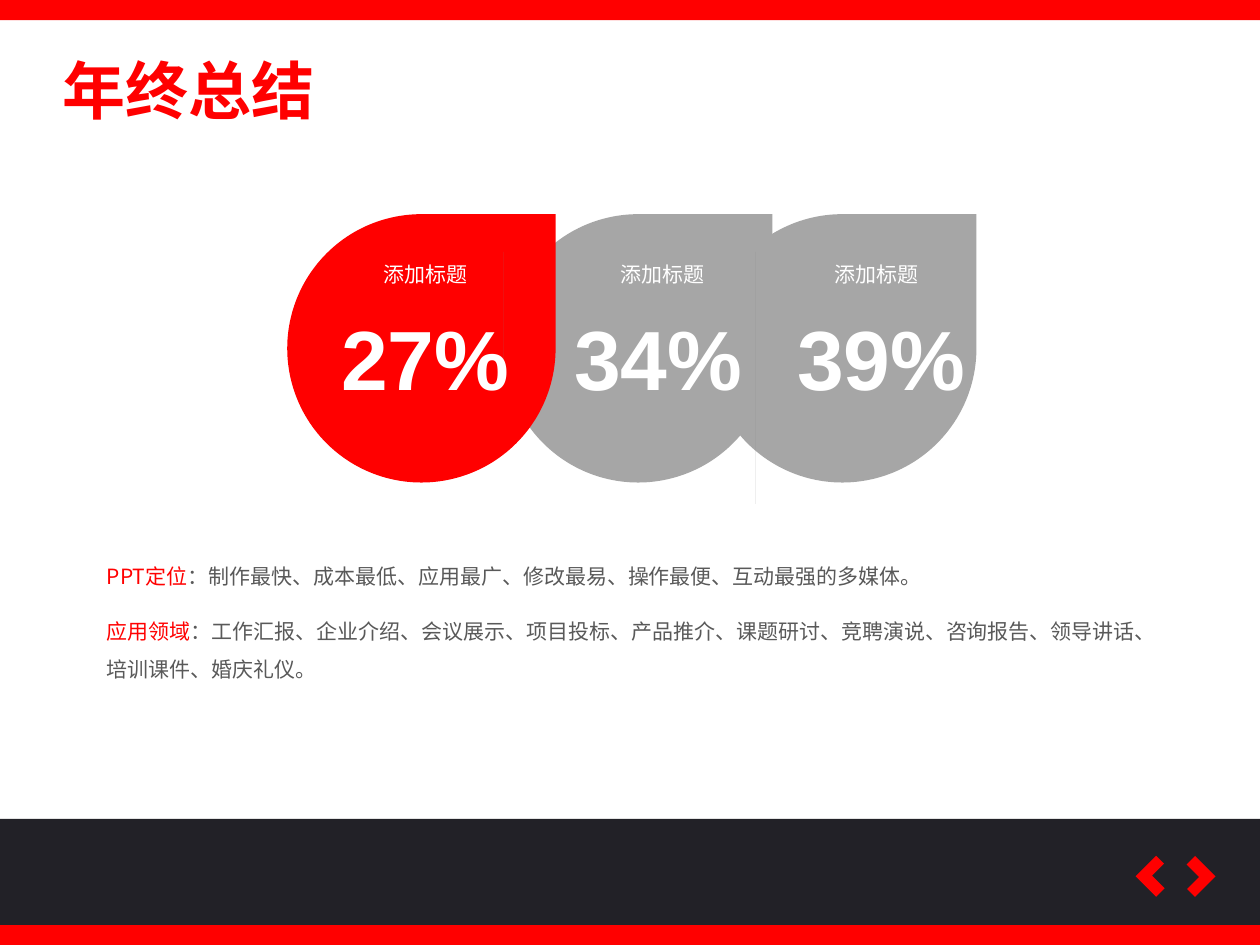
from math import acos, cos, sin, sqrt
from lxml import etree
from pptx import Presentation
from pptx.dml.color import RGBColor
from pptx.enum.shapes import MSO_SHAPE
from pptx.enum.text import MSO_AUTO_SIZE, PP_ALIGN
from pptx.oxml.ns import qn
from pptx.util import Inches, Pt

RECTANGLE, CORNER, TEAR = MSO_SHAPE.RECTANGLE, MSO_SHAPE.CORNER, MSO_SHAPE.TEAR
LEFT, CENTER = PP_ALIGN.LEFT, PP_ALIGN.CENTER
GROW = MSO_AUTO_SIZE.SHAPE_TO_FIT_TEXT

COLORS = {"red": "FF0000", "dark": "222127", "gray": "A6A6A6",
          "shade": "808080", "body": "595959", "white": "FFFFFF"}
CJK, LATIN = "Noto Sans CJK SC", "Arial"
WIDTH, HEIGHT = 10, 7.5
STRIP, FOOTER = 0.16, 0.84

TITLE = "年终总结"
DROPS = [
    {"left": 2.28, "color": "red", "title": "添加标题", "title_left": 2.83,
     "value": "27%", "value_left": 2.54, "shade": 0.09},
    {"left": 4.0, "color": "gray", "title": "添加标题", "title_left": 4.71,
     "value": "34%", "value_left": 4.39, "shade": 0.14},
    {"left": 5.62, "color": "gray", "title": "添加标题", "title_left": 6.41,
     "value": "39%", "value_left": 6.16, "shade": 0},
]
NOTES = [
    ("PPT定位", "：制作最快、成本最低、应用最广、修改最易、操作最便、互动最强的多媒体。",
     (0.75, 4.32, 6.92, 0.4)),
    ("应用领域", "：工作汇报、企业介绍、会议展示、项目投标、产品推介、课题研讨、竞聘演说、"
     "咨询报告、领导讲话、培训课件、婚庆礼仪。", (0.75, 4.76, 8.57, 0.71)),
]
ARROWS = [(9.06, 45), (9.37, 225)]
DROP_TOP, DROP_SIZE = 1.7, 2.13
RADIUS = DROP_SIZE / 2
MIDDLE = DROP_TOP + RADIUS
ARC_STEPS = 24


def paint(shape, color):
    shape.shadow.inherit = False
    shape.fill.solid()
    shape.fill.fore_color.rgb = RGBColor.from_string(COLORS[color])
    shape.line.fill.background()


def add_shape(page, kind, area, color, rotation=0, adjustments=()):
    shape = page.shapes.add_shape(kind, *map(Inches, area))
    for index, value in enumerate(adjustments):
        shape.adjustments[index] = value
    shape.rotation = rotation
    paint(shape, color)


def add_text(page, spans, area, size=12, font=CJK, bold=False, align=LEFT,
             spacing=None, wrap=True):
    box = page.shapes.add_textbox(*map(Inches, area))
    box.text_frame.word_wrap = wrap
    box.text_frame.auto_size = GROW
    para = box.text_frame.paragraphs[0]
    para.alignment = align
    para.line_spacing = spacing
    for text, color in spans:
        span = para.add_run()
        span.text = text
        span.font.size, span.font.bold, span.font.name = Pt(size), bold, font
        span.font.color.rgb = RGBColor.from_string(COLORS[color])
        east = etree.Element(qn("a:ea"), typeface=font)
        span.font._element.find(qn("a:latin")).addnext(east)


def add_shade(page, front, rear):
    front_x, rear_x = front["left"] + RADIUS, rear["left"] + RADIUS

    def edge(center):
        side = center + RADIUS
        top = MIDDLE - sqrt(RADIUS ** 2 - (side - rear_x) ** 2)
        end = acos((rear_x - center) / 2 / RADIUS)
        angles = [end * step / ARC_STEPS for step in range(ARC_STEPS + 1)]
        return [(side, top)] + [(center + RADIUS * cos(angle), MIDDLE + RADIUS * sin(angle))
                                for angle in angles]

    points = edge(front_x + front["shade"]) + edge(front_x)[::-1]
    outline = page.shapes.build_freeform(*points[0], scale=Inches(1))
    outline.add_line_segments(points[1:], close=True)
    paint(outline.convert_to_shape(), "shade")


def main():
    deck = Presentation()
    deck.slide_width, deck.slide_height = Inches(WIDTH), Inches(HEIGHT)
    page = deck.slides.add_slide(deck.slide_layouts[6])

    bottom = HEIGHT - STRIP
    for top, height, color in [(bottom, STRIP, "red"), (bottom - FOOTER, FOOTER, "dark"),
                               (0, STRIP, "red")]:
        add_shape(page, RECTANGLE, (0, top, WIDTH, height), color)
    for left, rotation in ARROWS:
        add_shape(page, CORNER, (left, 6.84, 0.23, 0.23), "red", rotation, (0.415, 0.386))

    for drop in reversed(DROPS):
        add_shape(page, TEAR, (drop["left"], DROP_TOP, DROP_SIZE, DROP_SIZE), drop["color"])
    for front, rear in reversed(list(zip(DROPS, DROPS[1:]))):
        add_shade(page, front, rear)
    for drop in DROPS:
        add_text(page, [(drop["value"], "white")], (drop["value_left"], 2.38, 1.67, 0.91),
                 size=48, font=LATIN, bold=True, align=CENTER)
        add_text(page, [(drop["title"], "white")], (drop["title_left"], 2.03, 1.09, 0.3),
                 align=CENTER)

    for heading, detail, area in NOTES:
        add_text(page, [(heading, "red"), (detail, "body")], area, spacing=1.5)
    add_text(page, [(TITLE, "red")], (0.4, 0.36, 2.22, 0.71), size=36, bold=True, wrap=False)
    deck.save("out.pptx")


if __name__ == "__main__":
    main()
